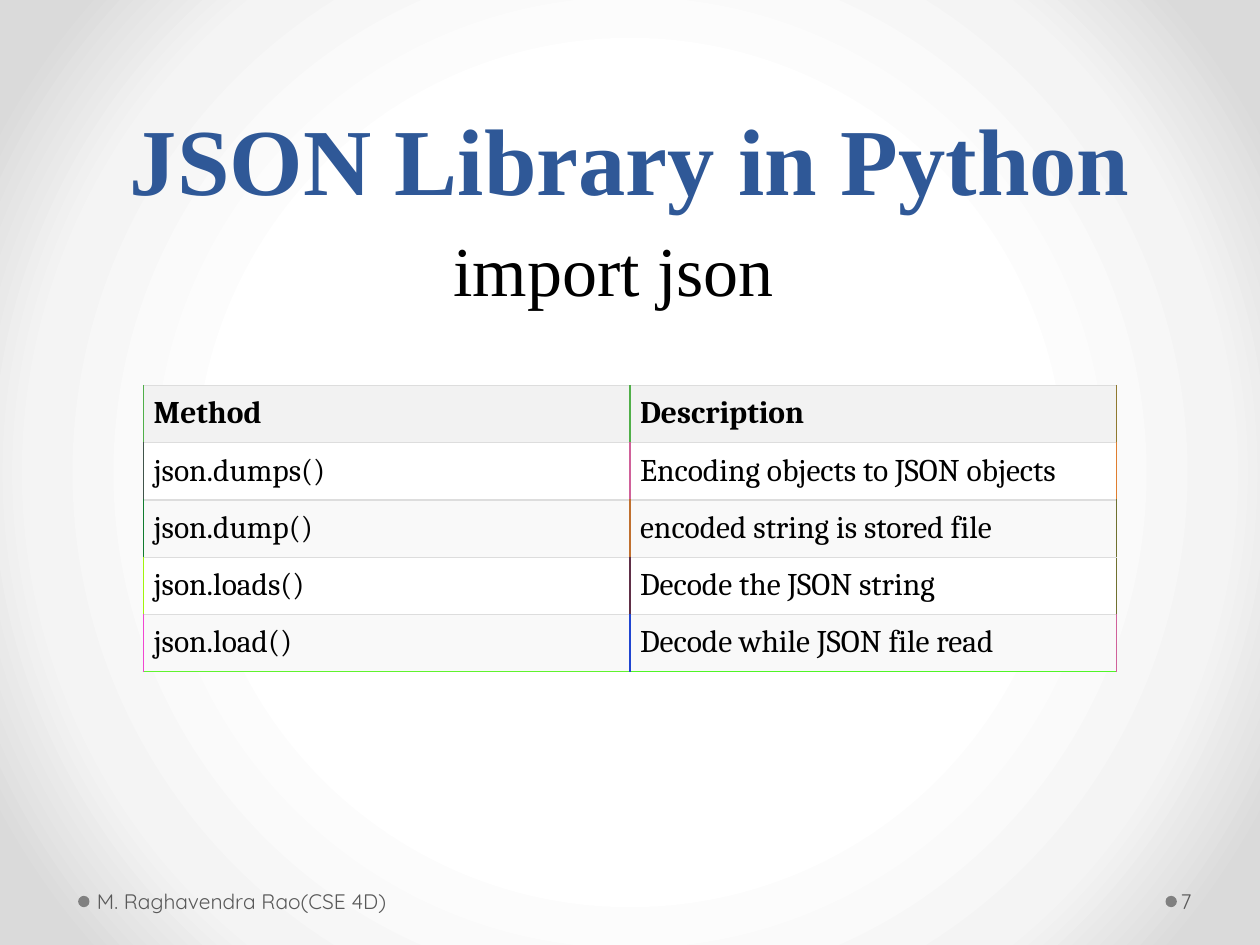
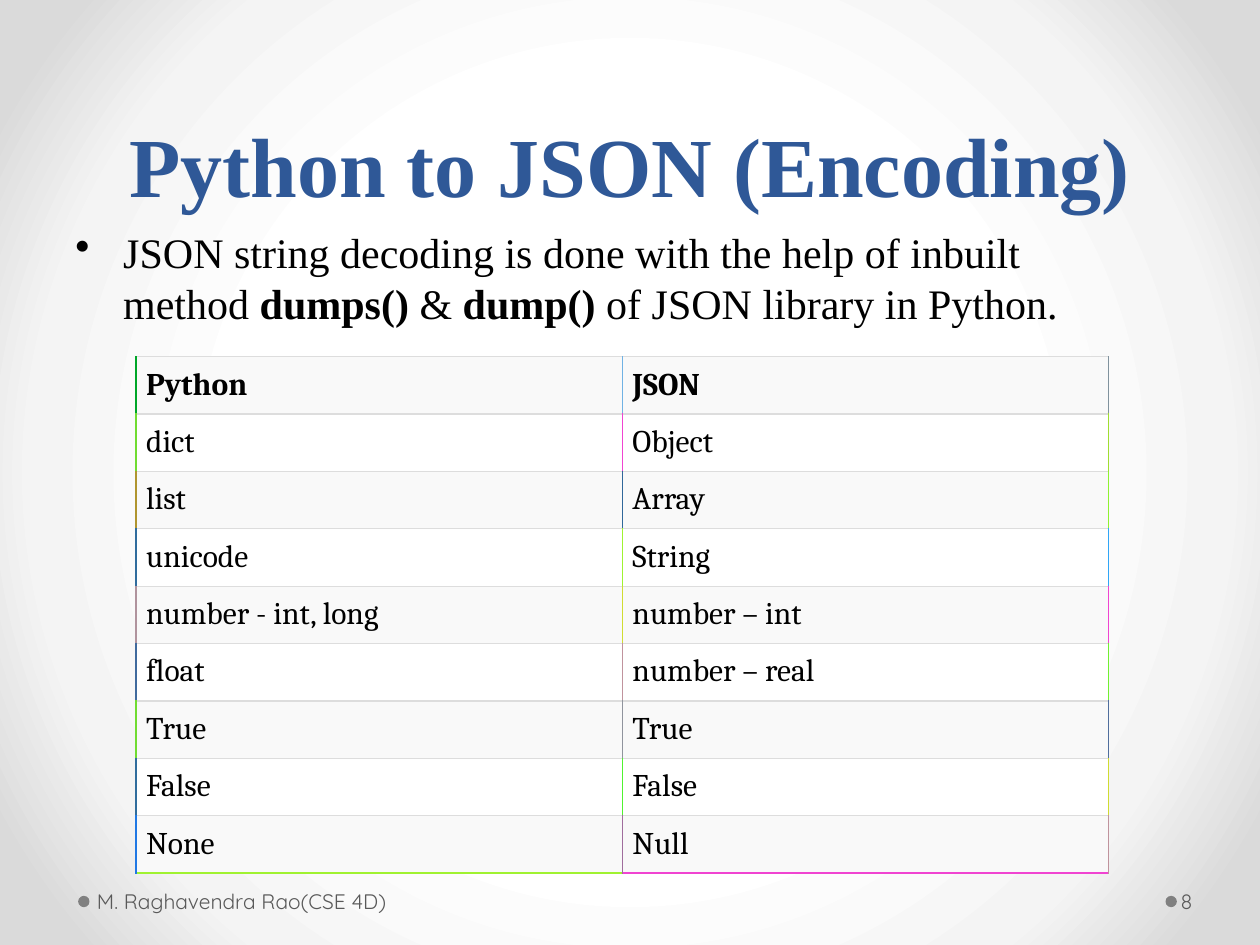
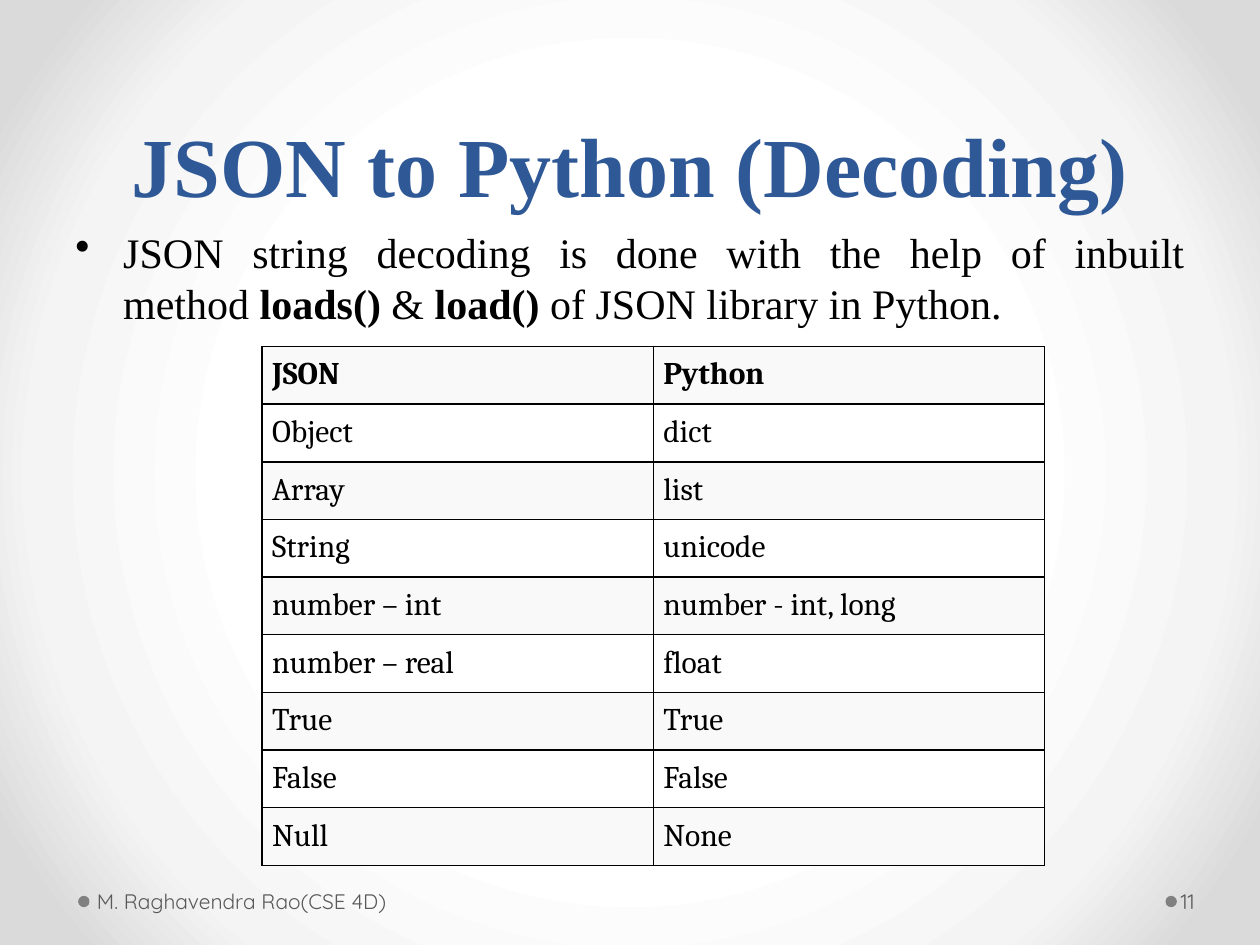
from dataclasses import dataclass
from pptx import Presentation
from pptx.dml.color import RGBColor
from pptx.enum.shapes import MSO_SHAPE as Shape
from pptx.enum.text import MSO_ANCHOR as Anchor, PP_ALIGN as Align
from pptx.oxml import parse_xml
from pptx.oxml.ns import nsdecls, qn
from pptx.util import Inches, Pt


@dataclass(frozen=True)
class Theme:
    title_color: str = "2F5897"
    text_color: str = "000000"
    footer_color: str = "595959"
    dot_color: str = "808080"
    grid_color: str = "DDDDDD"
    header_fill: str = "F2F2F2"
    row_fills: tuple = ("F9F9F9", "FFFFFF")
    background: tuple = ((50, "FFFFFF"), (76, "F4F4F4"), (92, "DADADA"))
    serif: str = "Times New Roman"
    table_font: str = "Cambria"
    footer_font: str = "Quicksand"
    big_title: int = 54
    title: int = 48
    title_spacing: int = 58
    statement: int = 40
    body: int = 24
    cell: int = 18
    footer: int = 12


THEME = Theme()
TITLE_BOX = (0.5, 0, 9, 1.75)
BODY_BOX = (0.5, 1.75, 9, 4.95)
FOOTER_BOX = (0.62, 6.95, 3.21, 0.4)
PAGE_BOX = (9.25, 6.95, 0.7, 0.4)
DOT_SIZE = 0.09
CELL_MARGIN = 0.08
CELL_BOTTOM = 0.07
HARD_SPACE = chr(160)
AUTHOR = "M. Raghavendra Rao(CSE 4D)"

METHODS = [
    ("Method", "Description"),
    ("json.dumps()", "Encoding objects to JSON objects"),
    ("json.dump()", "encoded string is stored file"),
    ("json.loads()", "Decode the JSON string"),
    ("json.load()", "Decode while JSON file read"),
]
METHOD_SIDES = [
    ("50AF49", "50AF49", "90792F"),
    ("40544A", "D0619A", "E07E2F"),
    ("107B2F", "C0702F", "70712F"),
    ("A0F40C", "602F47", "70712F"),
    ("F046D1", "2045D1", "D0619A"),
]
TYPES = [
    ("Python", "JSON"),
    ("dict", "Object"),
    ("list", "Array"),
    ("unicode", "String"),
    ("number - int, long", "number – int"),
    ("float", "number – real"),
    ("True", "True"),
    ("False", "False"),
    ("None", "Null"),
]
TYPE_SIDES = [
    ("00A628", "70B2E4", "80929D"),
    ("70DC31", "F044D1", "A0DE31"),
    ("B0952F", "30679A", "90F230"),
    ("306C9D", "A0F230", "30A6F7"),
    ("B0939D", "D0DC31", "F044D1"),
    ("406A9D", "C0939D", "70F230"),
    ("70DC31", "90949D", "506E9D"),
    ("306D9D", "50F22F", "D0DC31"),
    ("2078E4", "A06D9D", "C0939D"),
]


def set_background(master):
    stops = "".join(
        f'<a:gs pos="{position * 1000}"><a:srgbClr val="{color}"/></a:gs>'
        for position, color in THEME.background
    )
    common = master.element.cSld
    for old in common.findall(qn("p:bg")):
        common.remove(old)
    common.insert(0, parse_xml(
        f'<p:bg {nsdecls("p", "a")}><p:bgPr><a:gradFill rotWithShape="1">'
        f'<a:gsLst>{stops}</a:gsLst><a:path path="circle">'
        '<a:fillToRect l="50000" t="50000" r="50000" b="50000"/></a:path>'
        '</a:gradFill><a:effectLst/></p:bgPr></p:bg>'
    ))


def set_font(font, name, size, color, bold=False):
    font.name = name
    font.size = Pt(size)
    font.bold = bold
    font.color.rgb = RGBColor.from_string(color)


def add_text_frame(slide, box, anchor=Anchor.TOP):
    frame = slide.shapes.add_textbox(*map(Inches, box)).text_frame
    frame.word_wrap = True
    frame.vertical_anchor = anchor
    return frame


def add_title(slide, box, text, size):
    paragraph = add_text_frame(slide, box, Anchor.BOTTOM).paragraphs[0]
    paragraph.text = text
    paragraph.alignment = Align.CENTER
    paragraph.line_spacing = Pt(THEME.title_spacing)
    set_font(paragraph.font, THEME.serif, size, THEME.title_color, True)


def add_statement(slide, box, text):
    paragraph = add_text_frame(slide, box).paragraphs[0]
    paragraph.text = text
    paragraph._p.get_or_add_pPr().set("marL", str(Inches(3)))
    set_font(paragraph.font, THEME.serif, THEME.statement, THEME.text_color)


def add_bullet(slide, box, methods, alignment):
    paragraph = add_text_frame(slide, box).paragraphs[0]
    paragraph.alignment = alignment
    properties = paragraph._p.get_or_add_pPr()
    properties.set("marL", str(Inches(0.38)))
    properties.set("indent", str(Inches(-0.38)))
    properties.append(parse_xml(f'<a:buChar {nsdecls("a")} char="•"/>'))
    set_font(paragraph.font, THEME.serif, THEME.body, THEME.text_color)
    first, second = methods
    parts = (
        ("JSON string decoding is done with the help of inbuilt method" + HARD_SPACE, False),
        (first, True),
        (HARD_SPACE + "&" + HARD_SPACE, False),
        (second + HARD_SPACE, True),
        ("of JSON library in Python.", False),
    )
    for text, bold in parts:
        run = paragraph.add_run()
        run.text = text
        run.font.bold = bold


def set_borders(cell, borders):
    properties = cell._tc.get_or_add_tcPr()
    for side, (color, width) in zip("LRTB", borders):
        properties.append(parse_xml(
            f'<a:ln{side} {nsdecls("a")} w="{Pt(width)}"><a:solidFill>'
            f'<a:srgbClr val="{color}"/></a:solidFill></a:ln{side}>'
        ))


def fill_cell(cell, text, fill, bold):
    cell.margin_left = cell.margin_right = cell.margin_top = Inches(CELL_MARGIN)
    cell.margin_bottom = Inches(CELL_BOTTOM)
    cell.fill.solid()
    cell.fill.fore_color.rgb = RGBColor.from_string(fill)
    paragraph = cell.text_frame.paragraphs[0]
    paragraph.text = text
    set_font(paragraph.font, THEME.table_font, THEME.cell, THEME.text_color, bold)


def add_grid(slide, box, rows, header_fill, borders_at):
    table = slide.shapes.add_table(
        len(rows), len(rows[0]), *map(Inches, box)
    ).table
    table.first_row = table.horz_banding = False
    for row, texts in enumerate(rows):
        fill = THEME.row_fills[row % 2] if row else header_fill
        for column, text in enumerate(texts):
            cell = table.cell(row, column)
            set_borders(cell, borders_at(row, column))
            fill_cell(cell, text, fill, row == 0)


def colored_borders(sides, bottoms):
    inner = (THEME.grid_color, 0.75)

    def borders_at(row, column):
        last = row == len(sides) - 1
        return ((sides[row][column], 1), (sides[row][column + 1], 1), inner,
                (bottoms[column], 1) if last else inner)

    return borders_at


def black_borders(row, column):
    return ((THEME.text_color, 1),) * 4


def add_dotted_label(slide, box, text, margin):
    left, top, width, height = box
    dot = slide.shapes.add_shape(
        Shape.OVAL, Inches(left), Inches(top + 0.16),
        Inches(DOT_SIZE), Inches(DOT_SIZE),
    )
    dot.shadow.inherit = False
    dot.fill.solid()
    dot.fill.fore_color.rgb = RGBColor.from_string(THEME.dot_color)
    dot.line.fill.background()
    text_box = (left + DOT_SIZE, top, width - DOT_SIZE, height)
    frame = add_text_frame(slide, text_box, Anchor.MIDDLE)
    frame.margin_left = Inches(margin)
    frame.margin_right = Inches(0.05)
    paragraph = frame.paragraphs[0]
    paragraph.text = text
    set_font(paragraph.font, THEME.footer_font, THEME.footer, THEME.footer_color)


def add_base_slide(presentation, title, size, page):
    slide = presentation.slides.add_slide(presentation.slide_layouts[6])
    add_title(slide, TITLE_BOX, title, size)
    add_dotted_label(slide, FOOTER_BOX, AUTHOR, 0.06)
    add_dotted_label(slide, PAGE_BOX, str(page), 0.03)
    return slide


def add_library_slide(presentation):
    slide = add_base_slide(presentation, "JSON Library in Python", THEME.big_title, 7)
    add_statement(slide, BODY_BOX, "import json")
    add_grid(slide, (1.14, 3.06, 7.72, 2.27), METHODS, THEME.header_fill,
             colored_borders(METHOD_SIDES, ("60F32F", "50F527")))


def add_conversion_slide(presentation, title, page, methods, alignment,
                         box, rows, borders_at):
    slide = add_base_slide(presentation, title, THEME.title, page)
    add_bullet(slide, BODY_BOX, methods, alignment)
    add_grid(slide, box, rows, THEME.row_fills[0], borders_at)


def main():
    presentation = Presentation()
    presentation.slide_width = Inches(10)
    presentation.slide_height = Inches(7.5)
    set_background(presentation.slide_master)
    add_library_slide(presentation)
    add_conversion_slide(
        presentation, "Python to JSON (Encoding)", 8, ("dumps()", "dump()"),
        Align.LEFT, (1.08, 2.83, 7.72, 4.1), TYPES,
        colored_borders(TYPE_SIDES, ("A0F230", "F044D1")),
    )
    add_conversion_slide(
        presentation, "JSON to Python (Decoding)", 11, ("loads()", "load()"),
        Align.JUSTIFY, (2.08, 2.75, 6.21, 4.12),
        [(json_type, python_type) for python_type, json_type in TYPES],
        black_borders,
    )
    presentation.save("out.pptx")


if __name__ == "__main__":
    main()
